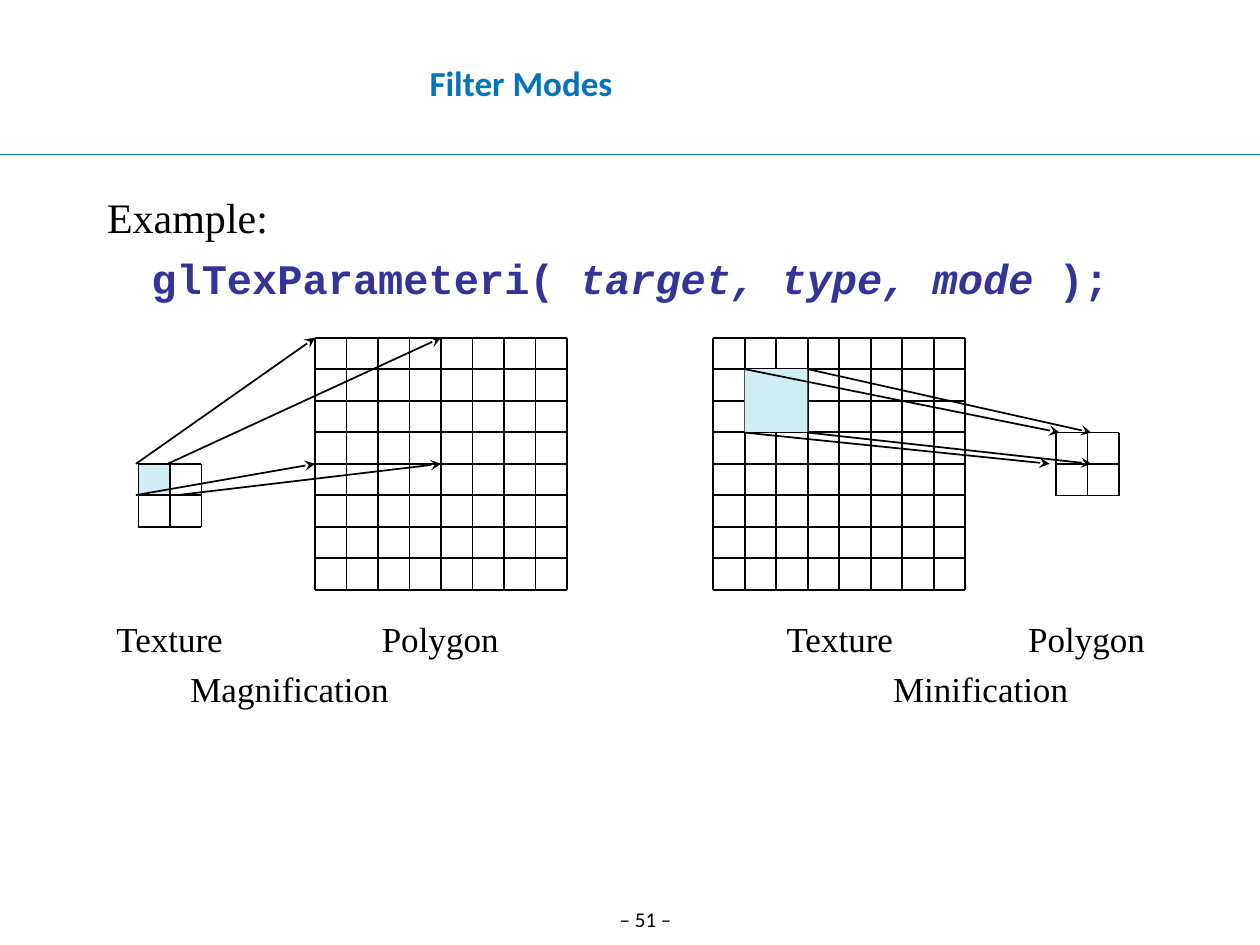
from pptx import Presentation
from pptx.dml.color import RGBColor
from pptx.enum.shapes import MSO_CONNECTOR, MSO_SHAPE
from pptx.enum.text import MSO_ANCHOR, PP_ALIGN
from pptx.oxml.ns import qn
from pptx.util import Cm, Pt
from lxml.etree import SubElement

BLACK, BLUE, INDIGO, TEXEL = "000000", "0075BA", "333399", "D1EFF3"
CELL = 0.635
color = RGBColor.from_string


def add_line(x1, y1, x2, y2, line_color=BLACK, width=1, arrow=False):
    line = slide.shapes.add_connector(
        MSO_CONNECTOR.STRAIGHT, Cm(x1), Cm(y1), Cm(x2), Cm(y2))
    line.line.color.rgb = color(line_color)
    line.line.width = Pt(width)
    properties = line._element.spPr
    if arrow:
        SubElement(properties.find(qn("a:ln")), qn("a:tailEnd"), type="stealth")
    SubElement(properties, qn("a:effectLst"))


def add_run(paragraph, text, font_name, size, font_color=BLACK, bold=False, italic=False):
    run = paragraph.add_run()
    run.text = text
    run.font.name = font_name
    run.font.size = Pt(size)
    run.font.bold = bold
    run.font.italic = italic
    run.font.color.rgb = color(font_color)


presentation = Presentation()
presentation.slide_width, presentation.slide_height = Cm(25.4), Cm(19.05)
slide = presentation.slides.add_slide(presentation.slide_layouts[5])

# Title and rule below it
title = slide.shapes.title
title.left, title.top, title.width, title.height = Cm(0.51), Cm(0.58), Cm(19.99), Cm(2.16)
title.text_frame.vertical_anchor = MSO_ANCHOR.MIDDLE
paragraph = title.text_frame.paragraphs[0]
paragraph.alignment = PP_ALIGN.CENTER
add_run(paragraph, "Filter Modes", "Calibri", 20, BLUE, bold=True)
add_line(0, 3.12, 25.4, 3.12, BLUE, 0.75)

# Grids: left, top, cells per side; highlighted texels: left, top, cells per side
grids = [(6.35, 6.81, 8), (2.79, 9.35, 2), (14.38, 6.81, 8), (21.29, 8.72, 2)]
texels = {1: (2.79, 9.35, 1), 3: (15.01, 7.44, 2)}
for index, (left, top, count) in enumerate(grids):
    # The magnified texel lies under its grid, the minified ones over theirs
    if index in texels:
        x, y, cells = texels[index]
        texel = slide.shapes.add_shape(
            MSO_SHAPE.RECTANGLE, Cm(x), Cm(y), Cm(cells * CELL), Cm(cells * CELL))
        texel.shadow.inherit = False
        texel.fill.solid()
        texel.fill.fore_color.rgb = color(TEXEL)
        texel.line.fill.background()
    side = count * CELL
    for step in range(count + 1):
        offset = step * CELL
        add_line(left + offset, top, left + offset, top + side)
        add_line(left, top + offset, left + side, top + offset)

# Arrows from texture corners to polygon corners
for x1, y1, x2, y2 in [
    (2.74, 9.35, 6.35, 6.81),
    (3.38, 9.35, 8.89, 6.81),
    (2.74, 9.98, 6.35, 9.35),
    (3.58, 9.98, 8.89, 9.35),
    (16.28, 7.44, 22, 8.72),
    (16.28, 8.72, 22, 9.35),
    (15.01, 7.44, 21.36, 8.72),
    (15.01, 8.72, 21.16, 9.35),
]:
    add_line(x1, y1, x2, y2, arrow=True)

# Labels and page number
for text, left, top, width, font_name, size in [
    ("Texture", 2.06, 12.32, 2.72, "Times New Roman", 20),
    ("Polygon", 7.44, 12.32, 2.87, "Times New Roman", 20),
    ("Magnification", 3.58, 13.33, 4.52, "Times New Roman", 20),
    ("Texture", 15.57, 12.32, 2.72, "Times New Roman", 20),
    ("Polygon", 20.47, 12.32, 2.87, "Times New Roman", 20),
    ("Minification", 17.75, 13.33, 4.04, "Times New Roman", 20),
    ("– 51 –", 11.91, 18.16, 2.21, "Calibri", 12),
]:
    label = slide.shapes.add_textbox(Cm(left), Cm(top), Cm(width), Cm(1.09))
    label.text_frame.word_wrap = False
    paragraph = label.text_frame.paragraphs[0]
    paragraph.alignment = PP_ALIGN.CENTER
    add_run(paragraph, text, font_name, size)

# Example call
example = slide.shapes.add_textbox(Cm(1.91), Cm(3.73), Cm(21.59), Cm(3.61))
example.text_frame.word_wrap = True
heading = example.text_frame.paragraphs[0]
add_run(heading, "Example:", "Times New Roman", 24)
call = example.text_frame.add_paragraph()
call.alignment = PP_ALIGN.CENTER
call.space_before = Pt(6)
for paragraph in (heading, call):
    indent = paragraph._p.get_or_add_pPr()
    indent.set("marL", str(Cm(0.95)))
    indent.set("indent", str(-Cm(0.95)))
for text, italic in [("glTexParameteri( ", False), ("target, type, mode", True), (" );", False)]:
    add_run(call, text, "Courier New", 24, INDIGO, bold=True, italic=italic)

presentation.save("out.pptx")
